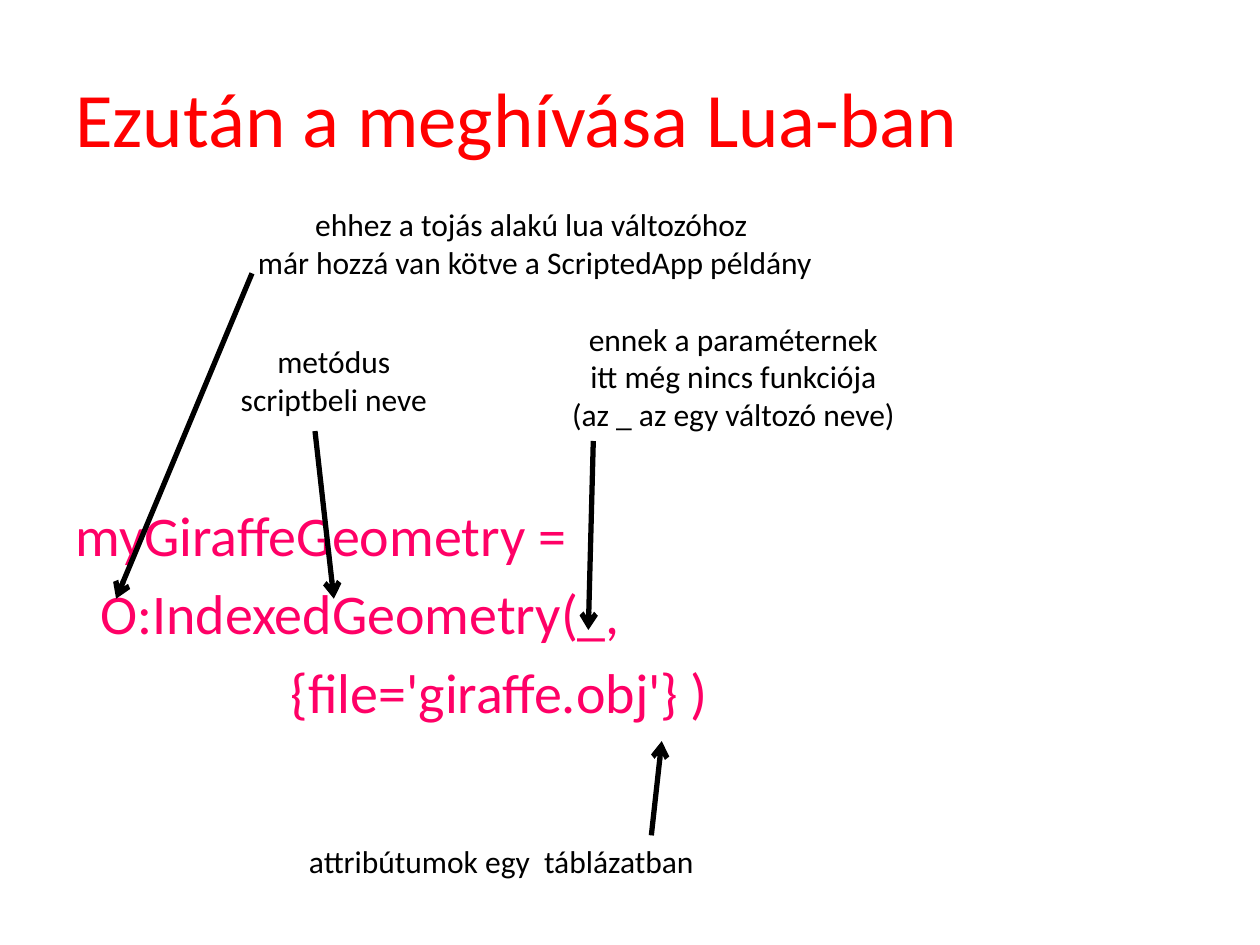
import pptx
import pptx.dml.color
import pptx.enum.shapes
import pptx.enum.text
import pptx.util
import lxml.etree

Cm = pptx.util.Cm
Pt = pptx.util.Pt
PP_ALIGN = pptx.enum.text.PP_ALIGN
MSO_ANCHOR = pptx.enum.text.MSO_ANCHOR
MSO_AUTO_SIZE = pptx.enum.text.MSO_AUTO_SIZE
A = "{http://schemas.openxmlformats.org/drawingml/2006/main}"


def rgb(value):
    return pptx.dml.color.RGBColor.from_string(value)


class Annotated:
    """Draw the titled code sample and its annotations on one slide."""

    font = "Calibri"
    ink = "000000"
    title_color = "FF0000"
    code_color = "FF0066"

    def __init__(self, slide):
        self.s = slide

    def text(self, box, lines, size, color, align=PP_ALIGN.LEFT, wrap=True):
        sp = self.s.shapes.add_textbox(*map(Cm, box))
        tf = sp.text_frame
        tf.word_wrap = wrap
        tf.text = "\n".join(lines)
        for p in tf.paragraphs:
            p.alignment = align
            p.font.name = self.font
            p.font.size = Pt(size)
            p.font.color.rgb = rgb(color)
        return tf

    def title(self, box, line):
        tf = self.text(box, [line], 44, self.title_color)
        tf.vertical_anchor = MSO_ANCHOR.MIDDLE

    def code(self, box, lines):
        tf = self.text(box, [line for line, _ in lines], 32, self.code_color)
        for p, (_, indent) in zip(tf.paragraphs, lines):
            p.space_before = Pt(6.4)
            p._p.get_or_add_pPr().set("marL", str(Cm(indent)))

    def note(self, box, lines):
        tf = self.text(box, lines, 18, self.ink, PP_ALIGN.CENTER, False)
        tf.auto_size = MSO_AUTO_SIZE.SHAPE_TO_FIT_TEXT

    def arrow(self, start, end):
        sp = self.s.shapes.add_connector(
            pptx.enum.shapes.MSO_CONNECTOR.STRAIGHT, *map(Cm, start + end))
        sp.line.color.rgb = rgb(self.ink)
        sp.line.width = Pt(3)
        ln = sp.line._get_or_add_ln()
        lxml.etree.SubElement(ln, A + "tailEnd", type="arrow")
        lxml.etree.SubElement(sp._element.spPr, A + "effectLst")


prs = pptx.Presentation()
prs.slide_width, prs.slide_height = Cm(25.4), Cm(19.05)
slide = Annotated(prs.slides.add_slide(prs.slide_layouts[6]))

slide.title((1.27, 0.76, 22.86, 3.18), "Ezután a meghívása Lua-ban")
slide.code((1.27, 9.96, 22.86, 5.51), [
    ("myGiraffeGeometry =", 0),
    ("O:IndexedGeometry(_,", 0.5),
    ("{file='giraffe.obj'} )", 4.34),
])

annotations = [
    ((4.88, 4.01, 11.81, 1.8),
     ["ehhez a tojás alakú lua változóhoz ",
      "már hozzá van kötve a ScriptedApp példány"],
     (5.08, 5.51), (2.34, 12.07)),
    ((11.23, 6.32, 7.11, 2.57),
     ["ennek a paraméternek", "itt még nincs funkciója",
      "(az _ az egy változó neve)"],
     (11.96, 8.89), (11.86, 12.7)),
    ((5.92, 16.84, 8.38, 1.02),
     ["attribútumok egy  táblázatban"],
     (13.13, 16.84), (13.34, 14.94)),
    ((4.57, 6.78, 4.32, 1.8),
     ["metódus", "scriptbeli neve"],
     (6.35, 8.69), (6.73, 12.07)),
]
for box, lines, start, end in annotations:
    slide.note(box, lines)
    slide.arrow(start, end)

prs.save("out.pptx")
